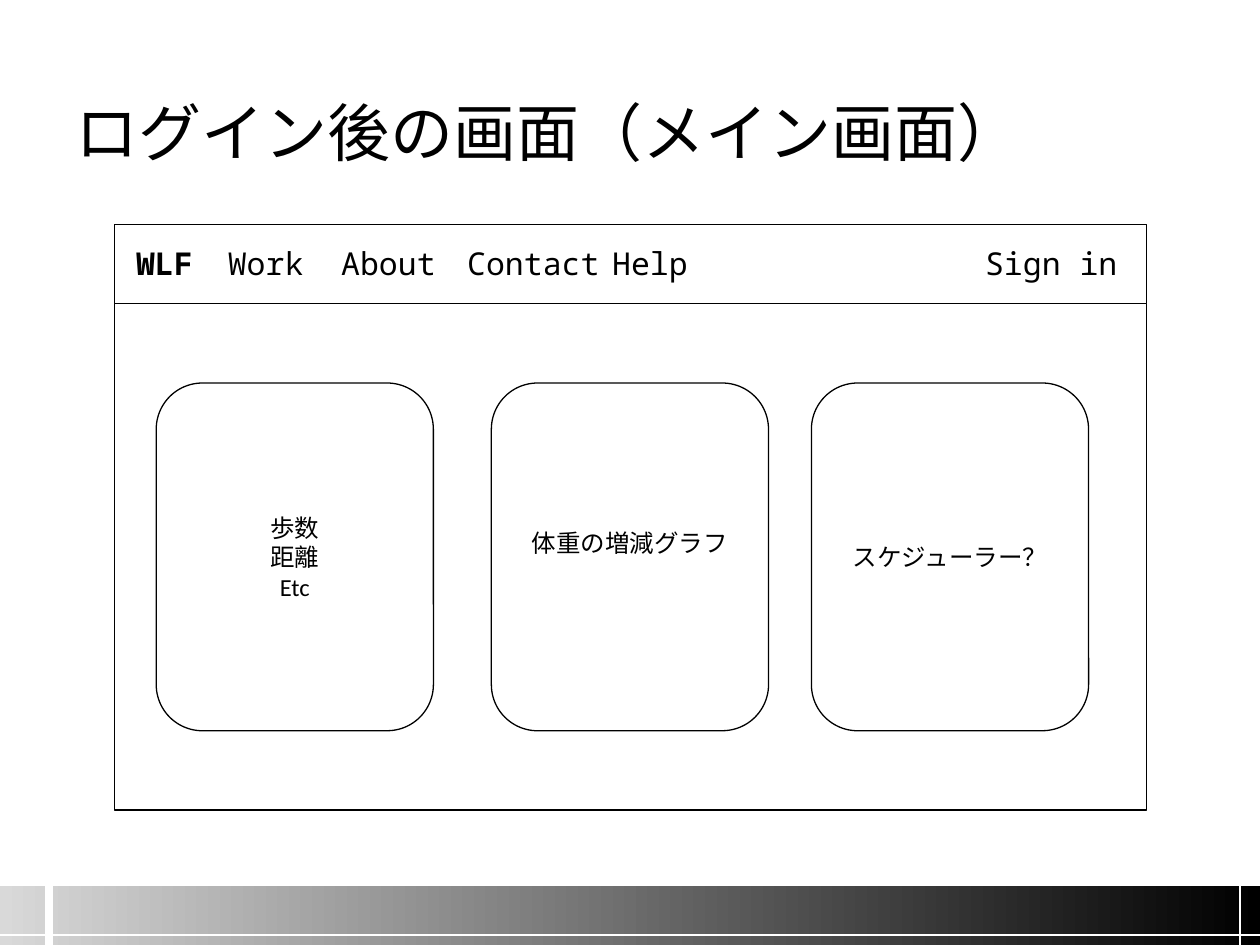
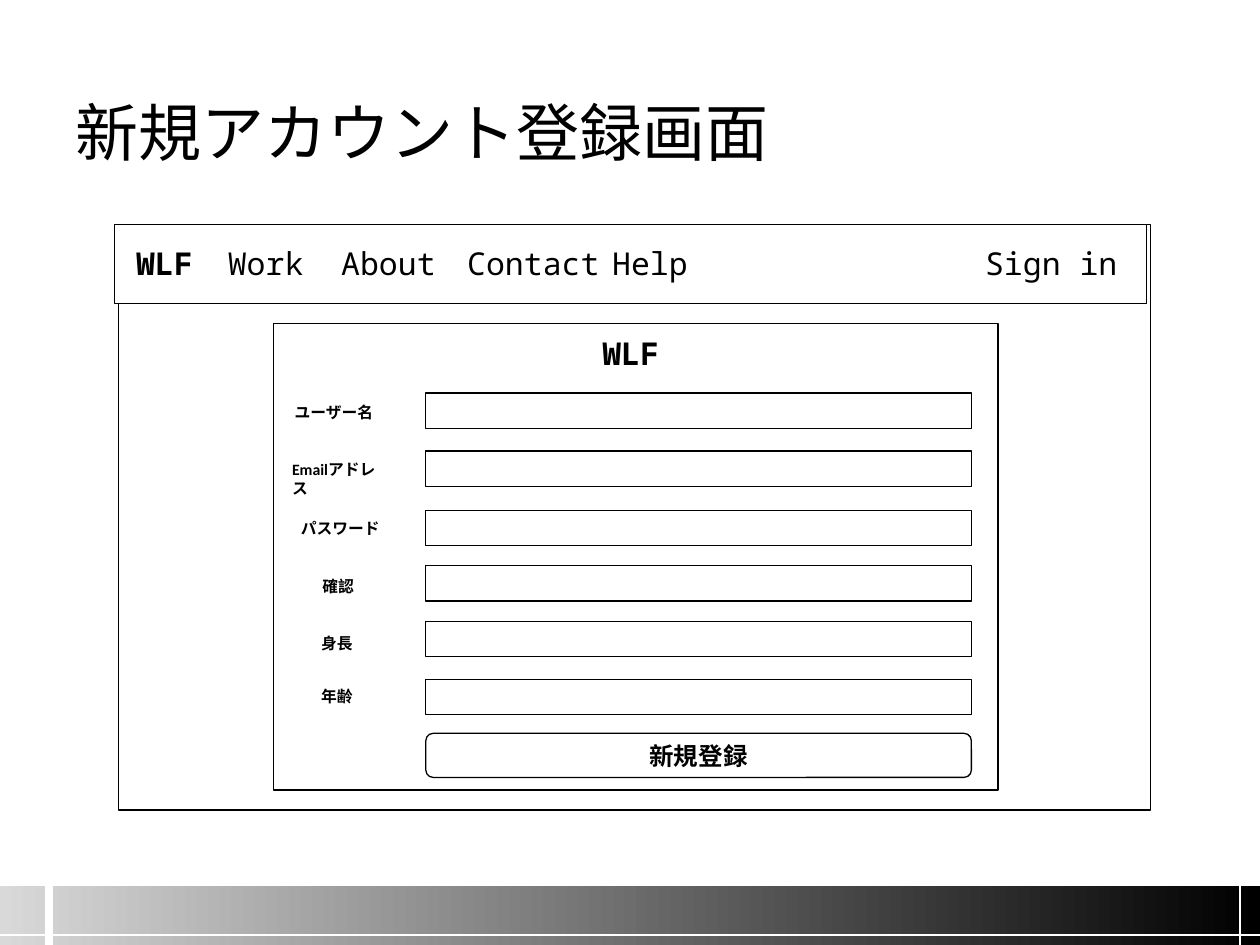
from lxml.etree import SubElement
from pptx import Presentation
from pptx.dml.color import RGBColor
from pptx.enum.shapes import MSO_CONNECTOR, MSO_SHAPE as SHAPE
from pptx.enum.text import MSO_ANCHOR as ANCHOR, MSO_AUTO_SIZE as FIT, PP_ALIGN as ALIGN
from pptx.oxml.ns import qn
from pptx.util import Inches, Pt

BLACK = RGBColor(0x00, 0x00, 0x00)
WHITE = RGBColor(0xFF, 0xFF, 0xFF)
SILVER = RGBColor(0xD9, 0xD9, 0xD9)
BODY_FONT = "Calibri"
MENU_FONT = "Noto Sans Mono"

# Boxes are (left, top, width, height) in inches
TITLE_BOX = (0.5, 0.3, 9, 1.09)
FOOTER_BOX = (0, 7.03, 10, 0.47)
MENU_BOX = (0.91, 1.78, 8.19, 0.63)
MAIN_WINDOW = (0.91, 1.78, 8.19, 4.65)
SIGNUP_WINDOW = (0.94, 1.78, 8.19, 4.65)
FORM_BOX = (2.17, 2.57, 5.75, 3.7)
LOGO_SIZE = (0.71, 0.4)

# Menu item, left within the bar, width
MENU_ITEMS = [("About", 1.7, 0.96), ("Contact", 2.7, 1.27),
              ("Sign in", 6.81, 1.27), ("Help", 3.85, 0.81)]

# Card text, left within the window, bottom inset
CARDS = [("歩数\n距離\nEtc", 0.33, 0.05),
         ("体重の増減グラフ", 2.99, 0.28),
         ("スケジューラー?".replace("?", "？"), 5.53, 0.05)]

# Label, its left, top and width, then the top of its field, within the form
FORM_ROWS = [("ユーザー名", 0.07, 0.58, 0.84, 0.55),
             ("Emailアドレス", 0.05, 1.03, 0.96, 1.01),
             ("パスワード", 0.12, 1.5, 0.84, 1.48),
             ("確認", 0.29, 1.96, 0.51, 1.92),
             ("身長", 0.28, 2.41, 0.51, 2.36),
             ("年齢", 0.28, 2.83, 0.51, 2.82)]


def inside(box, left, top, width, height):
    """Return a box whose left and top are measured from the given box."""
    return box[0] + left, box[1] + top, width, height


def write_text(frame, text, size=18, font=BODY_FONT, bold=False, color=BLACK,
               align=ALIGN.LEFT, anchor=ANCHOR.TOP, wrap=True, fit=FIT.NONE):
    """Fill a text frame, one paragraph per line of text."""
    frame.word_wrap = wrap
    frame.auto_size = fit
    frame.vertical_anchor = anchor
    for index, line in enumerate(text.split("\n")):
        paragraph = frame.add_paragraph() if index else frame.paragraphs[0]
        paragraph.alignment = align
        run = paragraph.add_run()
        run.text = line
        run.font.size = Pt(size)
        run.font.name = font
        run.font.bold = bold
        run.font.color.rgb = color


def add_panel(slide, box, outline=BLACK, kind=SHAPE.RECTANGLE):
    """Add a white shape with a thin outline, or none."""
    panel = slide.shapes.add_shape(kind, *map(Inches, box))
    panel.shadow.inherit = False
    panel.fill.solid()
    panel.fill.fore_color.rgb = WHITE
    if outline is None:
        panel.line.fill.background()
    else:
        panel.line.color.rgb = outline
        panel.line.width = Pt(0.75)
    return panel


def add_rule(slide, start, end, width):
    """Add a white straight line without shadow."""
    rule = slide.shapes.add_connector(MSO_CONNECTOR.STRAIGHT,
                                      *map(Inches, start + end))
    rule.line.color.rgb = WHITE
    rule.line.width = Pt(width)
    SubElement(rule._element.spPr, qn("a:effectLst"))
    return rule


def add_logo(slide, box, left, top):
    """Add the bold application name."""
    logo = add_panel(slide, inside(box, left, top, *LOGO_SIZE), outline=WHITE)
    write_text(logo.text_frame, "WLF", font=MENU_FONT, bold=True,
               align=ALIGN.CENTER, fit=FIT.SHAPE_TO_FIT_TEXT)


def add_menu(slide, box):
    """Add the menu bar across the top of a window."""
    add_panel(slide, box)
    add_logo(slide, box, 0.04, 0.11)
    work = add_panel(slide, inside(box, 0.8, 0.11, 0.85, 0.4), outline=None)
    write_text(work.text_frame, "Work", font=MENU_FONT, fit=FIT.SHAPE_TO_FIT_TEXT)
    for text, left, width in MENU_ITEMS:
        item = slide.shapes.add_textbox(
            *map(Inches, inside(box, left, 0.11, width, 0.4)))
        write_text(item.text_frame, text, font=MENU_FONT, wrap=False,
                   fit=FIT.SHAPE_TO_FIT_TEXT)


def add_cards(slide, box):
    """Add the three rounded cards of the main window."""
    for text, left, bottom_inset in CARDS:
        card = add_panel(slide, inside(box, left, 1.26, 2.2, 2.76),
                         kind=SHAPE.ROUNDED_RECTANGLE)
        card.text_frame.margin_bottom = Inches(bottom_inset)
        write_text(card.text_frame, text, size=14, align=ALIGN.CENTER,
                   anchor=ANCHOR.MIDDLE)


def add_form(slide, box):
    """Add the sign-up form: name, labelled fields and button."""
    field_left, field_width = 1.21, 4.33
    add_panel(slide, box)
    add_logo(slide, box, 2.48, 0.03)
    for text, left, top, width, field_top in FORM_ROWS:
        add_panel(slide, inside(box, field_left, field_top, field_width, 0.28))
        label = add_panel(slide, inside(box, left, top, width, 0.25), outline=None)
        write_text(label.text_frame, text, size=9, bold=True,
                   fit=FIT.SHAPE_TO_FIT_TEXT)
    button = add_panel(slide, inside(box, field_left, 3.25, field_width, 0.35),
                       kind=SHAPE.ROUNDED_RECTANGLE)
    write_text(button.text_frame, "新規登録", size=14, bold=True,
               align=ALIGN.CENTER, anchor=ANCHOR.MIDDLE)


def add_screen(deck, layout, title, window):
    """Add a slide with its title, an empty window and the menu bar."""
    slide = deck.slides.add_slide(layout)
    heading = slide.shapes.title
    heading.left, heading.top, heading.width, heading.height = map(Inches, TITLE_BOX)
    write_text(heading.text_frame, title, size=36, anchor=ANCHOR.BOTTOM)
    add_panel(slide, window)
    add_menu(slide, MENU_BOX)
    return slide


def add_footer(slide, layout, box):
    """Draw the gradient band with its rules and move it to the layout."""
    left, top, width, height = box
    right, bottom = left + width, top + height
    band = add_panel(slide, box, outline=None)
    band.fill.gradient()
    band.fill.gradient_angle = 180
    for stop, color in zip(band.fill.gradient_stops, (BLACK, SILVER)):
        stop.color.rgb = color
    rules = [add_rule(slide, (right - 0.16, top), (right - 0.16, bottom), 1.25),
             add_rule(slide, (left, bottom - 0.08), (right, bottom - 0.08), 1.25),
             add_rule(slide, (left + 0.39, top - 0.15), (left + 0.39, bottom), 5)]
    for part in [band, *rules]:
        layout.element.cSld.spTree.append(part._element)


def main():
    """Build and save the two screen designs."""
    deck = Presentation()
    deck.slide_width, deck.slide_height = Inches(10), Inches(7.5)
    layout = deck.slide_layouts.get_by_name("Title Only")

    main_screen = add_screen(deck, layout, "ログイン後の画面（メイン画面）", MAIN_WINDOW)
    add_cards(main_screen, MAIN_WINDOW)

    signup_screen = add_screen(deck, layout, "新規アカウント登録画面", SIGNUP_WINDOW)
    add_form(signup_screen, FORM_BOX)

    add_footer(signup_screen, layout, FOOTER_BOX)
    deck.save("out.pptx")


main()
